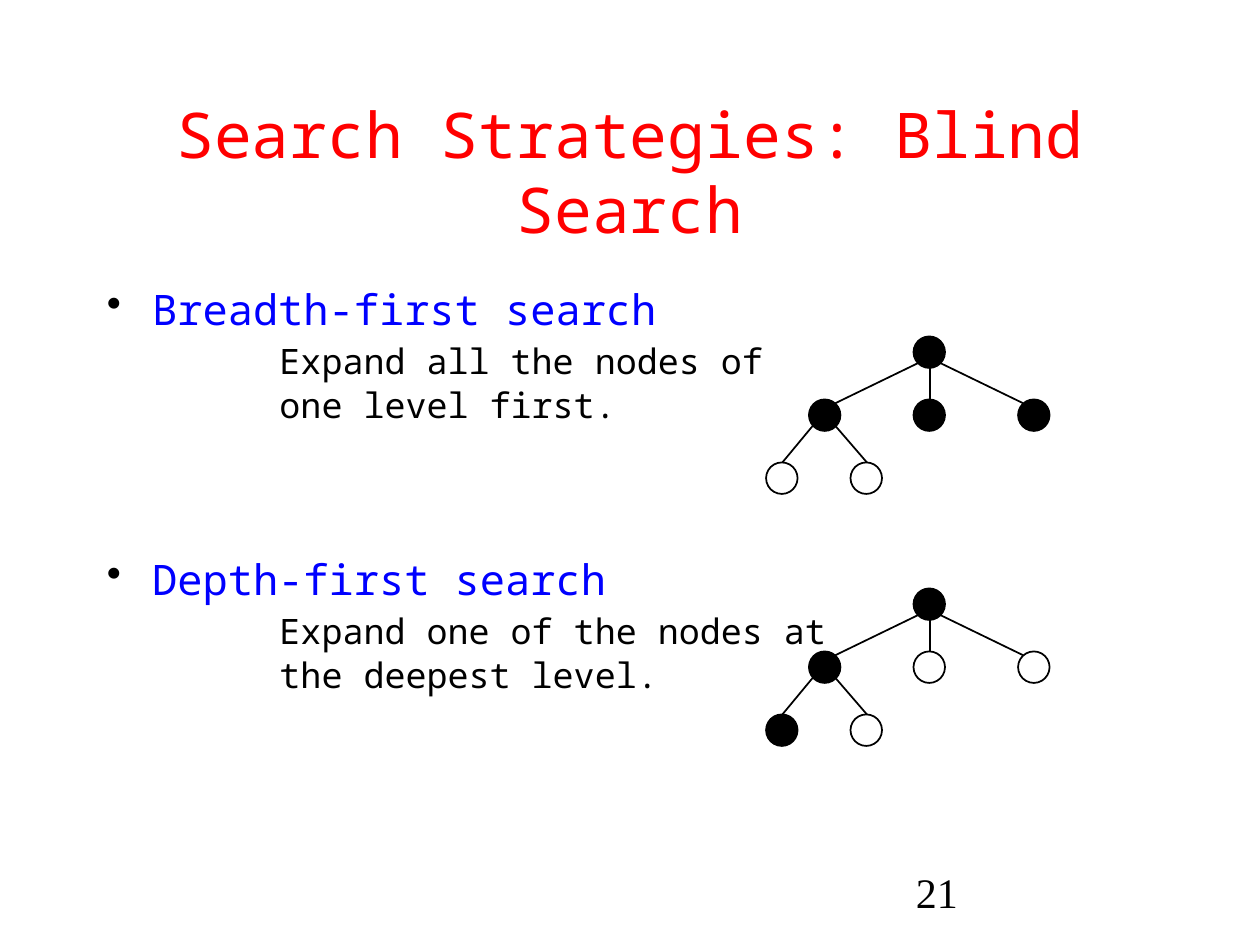
from typing import NamedTuple

from lxml import etree
from pptx import Presentation
from pptx.dml.color import RGBColor
from pptx.enum import shapes as shp, text as txt
from pptx.oxml import ns
from pptx.util import Inches, Pt

MONO = "Noto Sans Mono"
BLACK, RED, BLUE = "000000", "FF0000", "0000FF"
SIZE = 0.25  # node diameter

# Node corners and edge ends, measured from the tree's left and top
NODES = [(1.17, 0), (0.34, 0.5), (1.17, 0.5), (2, 0.5), (0, 1), (0.67, 1)]
EDGES = [
    (1.21, 0.21, 0.55, 0.53),
    (0.37, 0.71, 0.13, 1),
    (0.55, 0.71, 0.8, 1),
    (1.3, 0.25, 1.3, 0.5),
    (1.38, 0.21, 2.04, 0.53),
]


class Line(NamedTuple):
    text: str
    size: float
    color: str
    font: str = MONO
    pitch: float | None = None  # line height in points
    before: float = 0
    left: float = 0
    bullet: bool = False
    align: txt.PP_ALIGN = txt.PP_ALIGN.LEFT


class Tree(NamedTuple):
    left: float
    top: float
    solid: set[int]  # indexes of the expanded nodes


def rgb(code: str) -> RGBColor:
    return RGBColor.from_string(code)


def add_mark(para) -> None:
    """Give the paragraph a black hanging bullet."""
    props = para._p.get_or_add_pPr()
    props.set("marL", str(Inches(0.36)))
    props.set("indent", str(Inches(-0.36)))
    color = etree.SubElement(props, ns.qn("a:buClr"))
    etree.SubElement(color, ns.qn("a:srgbClr"), val=BLACK)
    etree.SubElement(props, ns.qn("a:buChar"), char="•")


def add_text(slide, box: tuple, lines: list[Line], top: float = 0.05,
             anchor=txt.MSO_ANCHOR.TOP) -> None:
    frame = slide.shapes.add_textbox(*map(Inches, box)).text_frame
    frame.word_wrap = True
    frame.margin_top = Inches(top)
    frame.vertical_anchor = anchor
    for i, line in enumerate(lines):
        para = frame.add_paragraph() if i else frame.paragraphs[0]
        para.text = line.text
        if line.bullet:
            add_mark(para)
        elif line.left:
            para._p.get_or_add_pPr().set("marL", str(Inches(line.left)))
        para.alignment = line.align
        if line.pitch:
            para.line_spacing = Pt(line.pitch)
        if line.before:
            para.space_before = Pt(line.before)
        para.font.name = line.font
        para.font.size = Pt(line.size)
        para.font.color.rgb = rgb(line.color)


def add_tree(slide, tree: Tree) -> None:
    for i, (x, y) in enumerate(NODES):
        node = slide.shapes.add_shape(
            shp.MSO_SHAPE.OVAL, Inches(tree.left + x), Inches(tree.top + y),
            Inches(SIZE), Inches(SIZE))
        node.shadow.inherit = False
        node.line.color.rgb = rgb(BLACK)
        node.line.width = Pt(1)
        if i in tree.solid:
            node.fill.solid()
            node.fill.fore_color.rgb = rgb(BLACK)
        else:
            node.fill.background()
    for x1, y1, x2, y2 in EDGES:
        edge = slide.shapes.add_connector(
            shp.MSO_CONNECTOR.STRAIGHT,
            Inches(tree.left + x1), Inches(tree.top + y1),
            Inches(tree.left + x2), Inches(tree.top + y2))
        edge.line.color.rgb = rgb(BLACK)
        edge.line.width = Pt(1)
        etree.SubElement(edge._element.spPr, ns.qn("a:effectLst"))


def head(text: str, before: float = 0) -> Line:
    return Line(text, 24, BLUE, pitch=30.8, before=before, bullet=True)


def note(text: str, before: float = 0) -> Line:
    return Line(text, 20, BLACK, pitch=24.9, before=before, left=1.37)


def main() -> None:
    deck = Presentation()
    deck.slide_width, deck.slide_height = Inches(10), Inches(7.5)
    slide = deck.slides.add_slide(deck.slide_layouts[6])

    # Page number
    add_text(slide, (7.17, 6.83, 2.08, 0.5),
             [Line("21", 24, BLACK, font="Times New Roman")])

    # Title
    add_text(slide, (0.75, 0.67, 8.5, 1.25),
             [Line("Search Strategies: Blind Search", 36, RED, pitch=42.8,
                   align=txt.PP_ALIGN.CENTER)],
             top=0.17, anchor=txt.MSO_ANCHOR.MIDDLE)

    # Strategies
    add_text(slide, (0.75, 2.17, 8.5, 4.5), [
        head("Breadth-first search"),
        note("Expand all the nodes of", 2.6),
        note("one level first."),
        head("Depth-first search", 71.3),
        note("Expand one of the nodes at", 2.6),
        note("the deepest level."),
    ])

    # Search trees
    for tree in (Tree(6.08, 2.67, {0, 1, 2, 3}), Tree(6.08, 4.67, {0, 1, 4})):
        add_tree(slide, tree)

    deck.save("out.pptx")


if __name__ == "__main__":
    main()
